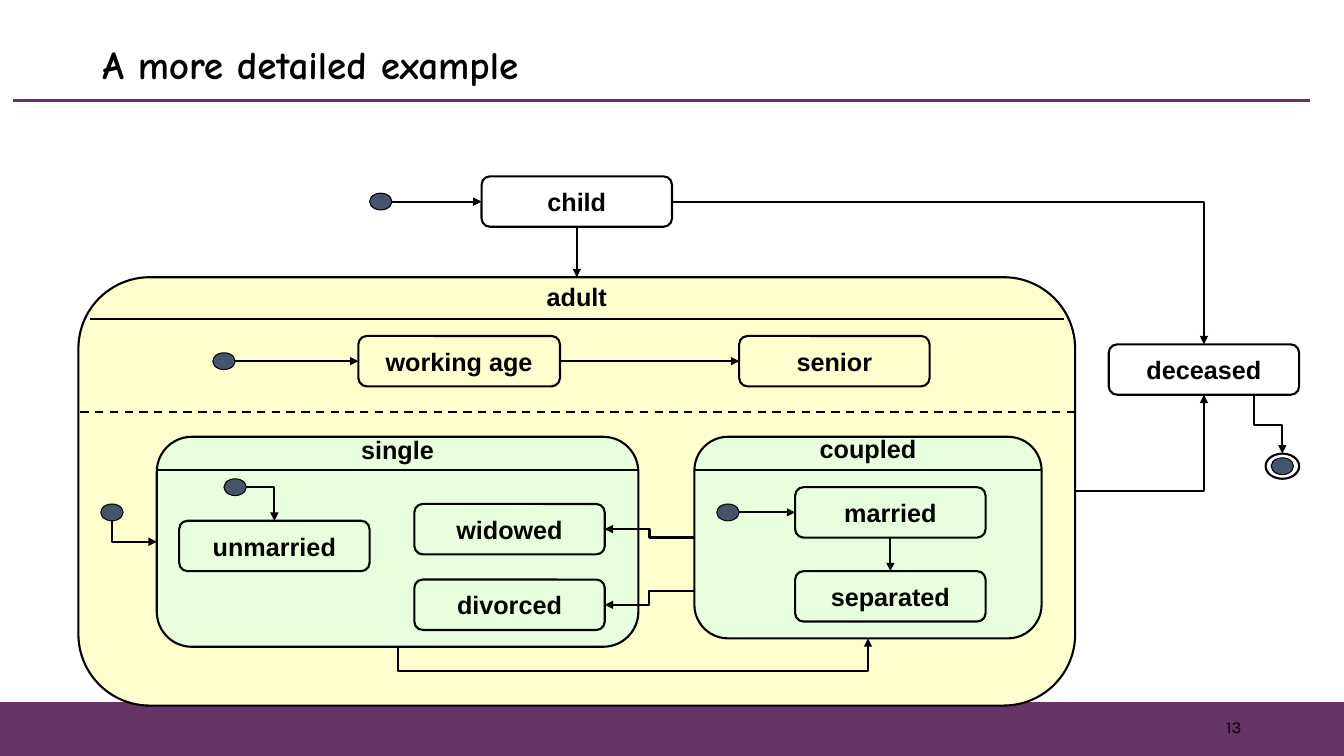
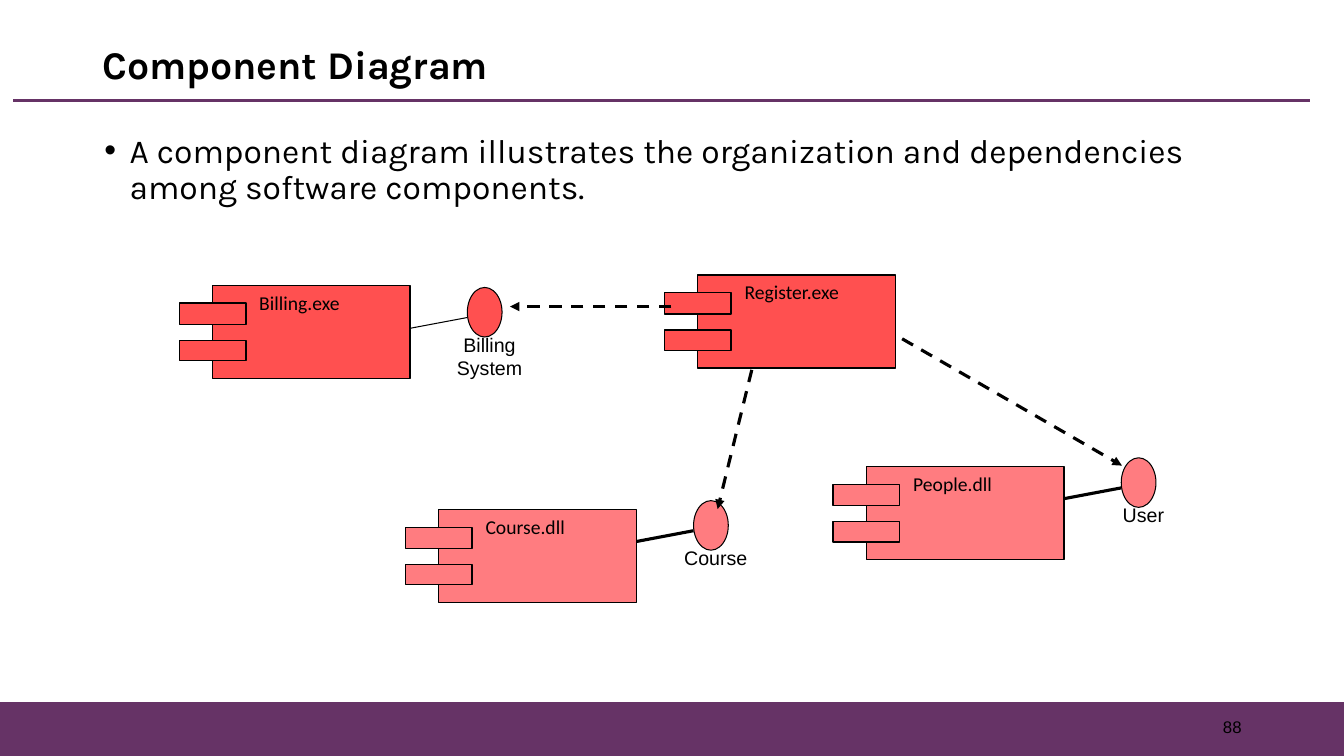
from dataclasses import dataclass
from typing import Any, Optional

from lxml import etree
from pptx import Presentation
from pptx import util as u
from pptx.dml.color import RGBColor
from pptx.enum import dml, shapes, text
from pptx.oxml.ns import qn

Pt = u.Pt
KIND = shapes.MSO_SHAPE
LINE = shapes.MSO_CONNECTOR
ALIGN = text.PP_ALIGN
ANCHOR = text.MSO_ANCHOR
HUES = {
    "black": "000000",
    "plum": "663366",
    "cream": "FEFFCC",
    "mint": "E7FFDC",
    "slate": "44546A",
    "red": "FF5050",
    "pink": "FF7C80",
}
TOP, LEFT, BASE, RIGHT = range(4)
STATE_W, STATE_H = 136, 36
DOT_W, DOT_H = 16, 12
BALL_W, BALL_H = 24.8, 35.4
PORT_W = 72


@dataclass
class State:
    name: str
    x: float
    y: float
    w: float = STATE_W


@dataclass
class Region:
    name: str
    x: float
    y: float
    w: float
    h: float
    hue: str
    gap: float
    pad: tuple


@dataclass
class Part:
    name: str
    x: float
    y: float
    hue: str
    width: float
    port: tuple = ()
    drop: float = -6.2
    weight: float = 2.25


STATES = [
    State("child", 344, 126),
    State("working age", 256, 240, 144),
    State("senior", 528, 240),
    State("unmarried", 128, 372),
    State("married", 568, 348),
    State("divorced", 296, 414),
    State("widowed", 296, 360),
    State("separated", 568, 408),
    State("deceased", 792, 246),
]
REGIONS = [
    Region("adult", 56, 198, 712, 306, "cream", 0.35, (0, 0, 0, 0)),
    Region("single", 112, 312, 344, 150, "mint", 0.5, (7.2, 0, 7.2, 3.6)),
    Region("coupled", 496, 312, 248, 144, "mint", 0.5, (7.2, 0, 7.2, 3.6)),
]
DOTS = {
    "child": (264, 138),
    "working age": (152, 252),
    "unmarried": (160, 342),
    "married": (512, 360),
    "single": (72, 360),
}
RULES = [
    (64, 760, 228, False),
    (112, 456, 336, False),
    (496, 744, 336, False),
    (56, 768, 294, True),
]
PARTS = [
    Part("Course.dll", 289.6, 363.8, "pink", 57, ("Course",)),
    Part("People.dll", 595.1, 333.2, "pink", 57, ("User",)),
    Part("Register.exe", 474.6, 196.3, "red", 70),
    Part("Billing.exe", 128, 203.8, "red", 58, ("Billing", "System"), 1.5, 0.75),
]
NEEDS = [
    ((479.5, 219), (364.3, 219)),
    ((537, 264.2), (512.6, 363.6)),
    ((644.4, 242), (801.4, 332.6)),
]


def tint(name: str) -> RGBColor:
    return RGBColor.from_string(HUES[name])


def write(shape: Any, *lines: str, font: str = "Arial", size: float = 18,
          bold: bool = False, align: Any = ALIGN.LEFT, anchor: Any = ANCHOR.MIDDLE,
          pad: tuple = (7.2, 3.6, 7.2, 3.6), wrap: bool = False,
          gap: Optional[float] = None, bullet: bool = False) -> None:
    frame = shape.text_frame
    frame.word_wrap = wrap
    frame.vertical_anchor = anchor
    (frame.margin_left, frame.margin_top,
     frame.margin_right, frame.margin_bottom) = map(Pt, pad)
    for i, line in enumerate(lines):
        para = frame.add_paragraph() if i else frame.paragraphs[0]
        para.alignment = align
        if gap:
            para.line_spacing = gap
        if bullet:
            props = para._p.get_or_add_pPr()
            props.set("marL", str(Pt(18)))
            props.set("indent", str(Pt(-18)))
            hue = etree.SubElement(props, qn("a:buClr"))
            etree.SubElement(hue, qn("a:srgbClr"), val=HUES["black"])
            etree.SubElement(props, qn("a:buFont"), typeface="Arial")
            etree.SubElement(props, qn("a:buChar"), char="•")
        run = para.add_run()
        run.text = line
        run.font.name = font
        run.font.size = Pt(size)
        run.font.bold = bold
        run.font.color.rgb = tint("black")


def label(slide: Any, x: float, y: float, w: float, h: float,
          *lines: str, **style: Any) -> None:
    write(slide.shapes.add_textbox(Pt(x), Pt(y), Pt(w), Pt(h)), *lines, **style)


def draw(slide: Any, kind: Any, x: float, y: float, w: float, h: float,
         hue: Optional[str] = None, edge: Optional[str] = "black",
         weight: float = 1.5) -> Any:
    shape = slide.shapes.add_shape(kind, Pt(x), Pt(y), Pt(w), Pt(h))
    shape.shadow.inherit = False
    if hue:
        shape.fill.solid()
        shape.fill.fore_color.rgb = tint(hue)
    else:
        shape.fill.background()
    if edge:
        shape.line.color.rgb = tint(edge)
        shape.line.width = Pt(weight)
    else:
        shape.line.fill.background()
    return shape


def spot(end: tuple) -> tuple:
    shape, side = end
    if not hasattr(shape, "left"):
        return end
    x, y, w, h = (v / Pt(1) for v in (shape.left, shape.top, shape.width, shape.height))
    return [(x + w / 2, y), (x, y + h / 2), (x + w / 2, y + h), (x + w, y + h / 2)][side]


def link(slide: Any, start: tuple, end: tuple, hue: str = "black",
         weight: float = 1.5, dash: bool = False, arrow: bool = True,
         bend: int = 0, down: bool = False, ratio: float = 0.5) -> None:
    (ax, ay), (bx, by) = spot(start), spot(end)
    wire = slide.shapes.add_connector(
        LINE.ELBOW if bend else LINE.STRAIGHT, Pt(ax), Pt(ay), Pt(bx), Pt(by))
    wire.line.color.rgb = tint(hue)
    wire.line.width = Pt(weight)
    if dash:
        wire.line.dash_style = dml.MSO_LINE.DASH
    props = wire._element.spPr
    if arrow:
        etree.SubElement(props.find(qn("a:ln")), qn("a:tailEnd"), type="triangle")
    etree.SubElement(props, qn("a:effectLst"))
    joints = ((start, wire.begin_connect, "a:stCxn"), (end, wire.end_connect, "a:endCxn"))
    for (shape, side), join, tag in joints:
        if hasattr(shape, "left"):
            join(shape, side)
            if shape.auto_shape_type == KIND.OVAL:
                next(wire._element.iter(qn(tag))).set("idx", str(side * 2))
    if not bend:
        return
    form = props.find(qn("a:prstGeom"))
    form.set("prst", f"bentConnector{bend}")
    if bend == 3:
        etree.SubElement(form.find(qn("a:avLst")), qn("a:gd"),
                         name="adj1", fmla=f"val {round(ratio * 100000)}")
    if down:
        w, h = abs(by - ay), abs(bx - ax)
        wire.left, wire.top = Pt((ax + bx - w) / 2), Pt((ay + by - h) / 2)
        wire.width, wire.height = Pt(w), Pt(h)
        props.xfrm.set("rot", str((270 if by > ay else 90) * 60000))
        props.xfrm.set("flipH", "1")
        props.xfrm.set("flipV", "0" if by > ay else "1")


def start(deck: Any, title: str, font: str, page: str, face: str) -> Any:
    slide = deck.slides.add_slide(deck.slide_layouts[6])
    draw(slide, KIND.RECTANGLE, 0, 502, 960, 38, "plum", "plum", 1)
    link(slide, (9.5, 72), (936, 72), "plum", 2.25, arrow=False)
    label(slide, 678, 505, 216, 28.8, page, font=face, size=12,
          align=ALIGN.RIGHT, wrap=True)
    label(slide, 66, 21.6, 828, 52.6, title, font=font, size=28, bold=True,
          gap=0.9, wrap=True)
    return slide


def life(deck: Any) -> None:
    slide = start(deck, "A more detailed example", "Comic Neue", "13", "Karla")
    nodes = {}
    for r in REGIONS:
        nodes[r.name] = draw(slide, KIND.ROUNDED_RECTANGLE, r.x, r.y, r.w, r.h, r.hue)
        write(nodes[r.name], r.name, bold=True, align=ALIGN.CENTER,
              anchor=ANCHOR.TOP, gap=r.gap, pad=r.pad)
    for s in STATES:
        nodes[s.name] = draw(slide, KIND.ROUNDED_RECTANGLE, s.x, s.y, s.w, STATE_H)
        write(nodes[s.name], s.name, bold=True, align=ALIGN.CENTER)
    for left, right, y, dash in RULES:
        link(slide, (right, y), (left, y), dash=dash, arrow=False)
    bends = {
        "unmarried": (TOP, RIGHT, {"bend": 2}),
        "single": (LEFT, BASE, {"bend": 2, "down": True}),
    }
    for name, (x, y) in DOTS.items():
        dot = draw(slide, KIND.OVAL, x, y, DOT_W, DOT_H, "slate", weight=0.75)
        into, out, style = bends.get(name, (LEFT, RIGHT, {}))
        link(slide, (dot, out), (nodes[name], into), **style)
    draw(slide, KIND.OVAL, 908, 327, DOT_W, DOT_H, "slate", weight=0.75)
    ring = draw(slide, KIND.OVAL, 904, 324, 24, 18)
    moves = [
        ("child", BASE, "adult", TOP, {}),
        ("working age", RIGHT, "senior", LEFT, {}),
        ("married", BASE, "separated", TOP, {}),
        ("child", RIGHT, "deceased", TOP, {"bend": 2}),
        ("adult", RIGHT, "deceased", BASE, {"bend": 2}),
        ("coupled", LEFT, "widowed", RIGHT, {"bend": 3}),
        ("single", BASE, "coupled", BASE, {"bend": 3, "down": True, "ratio": -2.88}),
    ]
    for source, out, goal, into, style in moves:
        link(slide, (nodes[source], out), (nodes[goal], into), **style)
    link(slide, (495.5, 422), (nodes["divorced"], RIGHT), bend=3)
    link(slide, (896, 282), (ring, TOP), bend=3, down=True, ratio=0.51)


def build(slide: Any, p: Part) -> None:
    draw(slide, KIND.RECTANGLE, p.x + 23.7, p.y, 141.2, 66.6, p.hue, weight=1)
    for y, h in ((12.8, 15.2), (39.5, 14.4)):
        draw(slide, KIND.RECTANGLE, p.x, p.y + y, 47.6, h, p.hue, weight=1)
    name = draw(slide, KIND.RECTANGLE, p.x + 57.2, p.y + 4, p.width, 16.6, p.hue, None)
    write(name, p.name, font="Calibri", size=14, anchor=ANCHOR.TOP, pad=(0, 0, 0, 0))
    if not p.port:
        return
    x, y = p.x + 205.8, p.y + p.drop
    link(slide, (p.x + 165, y + 29.2), (x, y + 21.5), weight=p.weight, arrow=False)
    draw(slide, KIND.OVAL, x, y, BALL_W, BALL_H, p.hue, weight=0.75)
    label(slide, x + BALL_W / 2 + 3.5 - PORT_W / 2, y + 30.6,
          PORT_W, 3.4 + 16.7 * len(p.port), *p.port,
          size=14, align=ALIGN.CENTER, pad=(4.3, 1.4, 4.3, 1.4))


def modules(deck: Any) -> None:
    slide = start(deck, "Component Diagram", "Karla", "88", "Arial")
    label(slide, 66, 91.4, 828, 395,
          "A component diagram illustrates the organization and dependencies "
          "among software components.",
          font="Karla", size=24, anchor=ANCHOR.TOP, gap=0.9, wrap=True,
          pad=(8.6, 4.3, 8.6, 4.3), bullet=True)
    for part in PARTS:
        build(slide, part)
    for source, goal in NEEDS:
        link(slide, source, goal, weight=2.25, dash=True)


def main() -> None:
    deck = Presentation()
    deck.slide_width, deck.slide_height = Pt(960), Pt(540)
    life(deck)
    modules(deck)
    deck.save("out.pptx")


if __name__ == "__main__":
    main()
